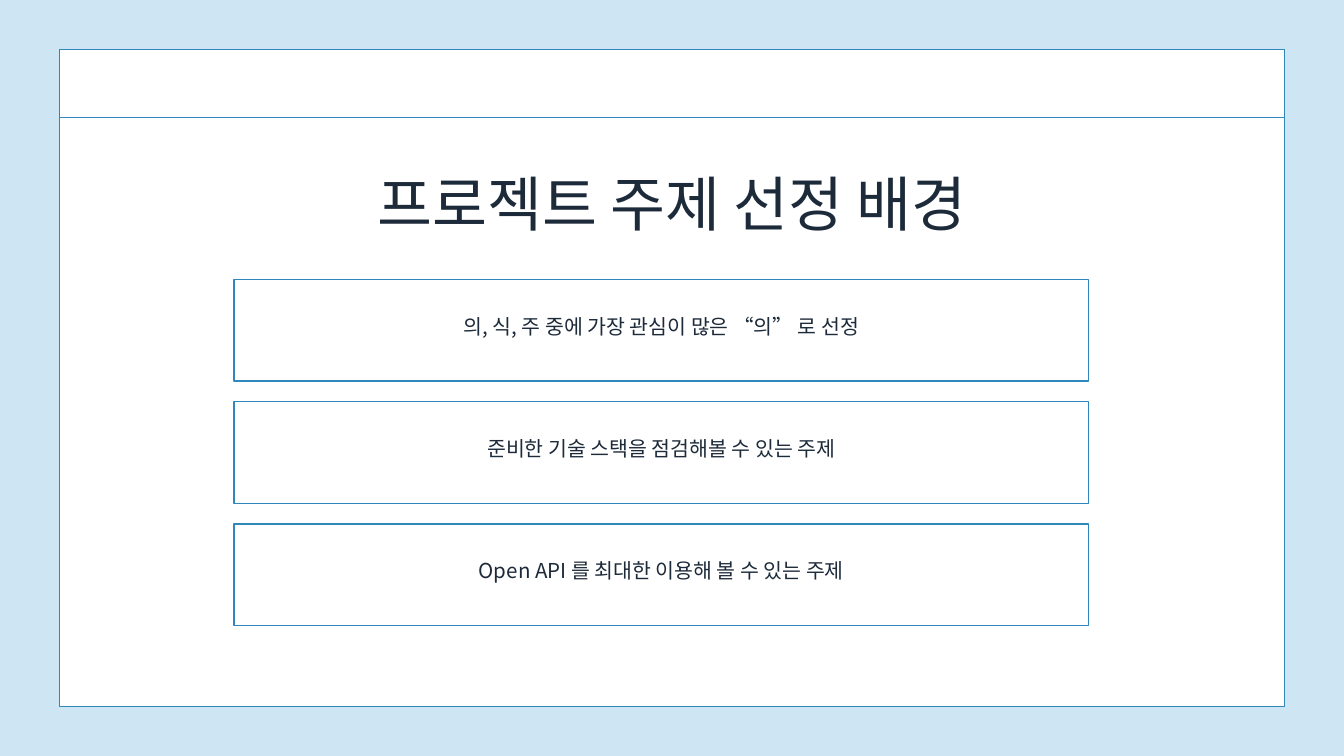
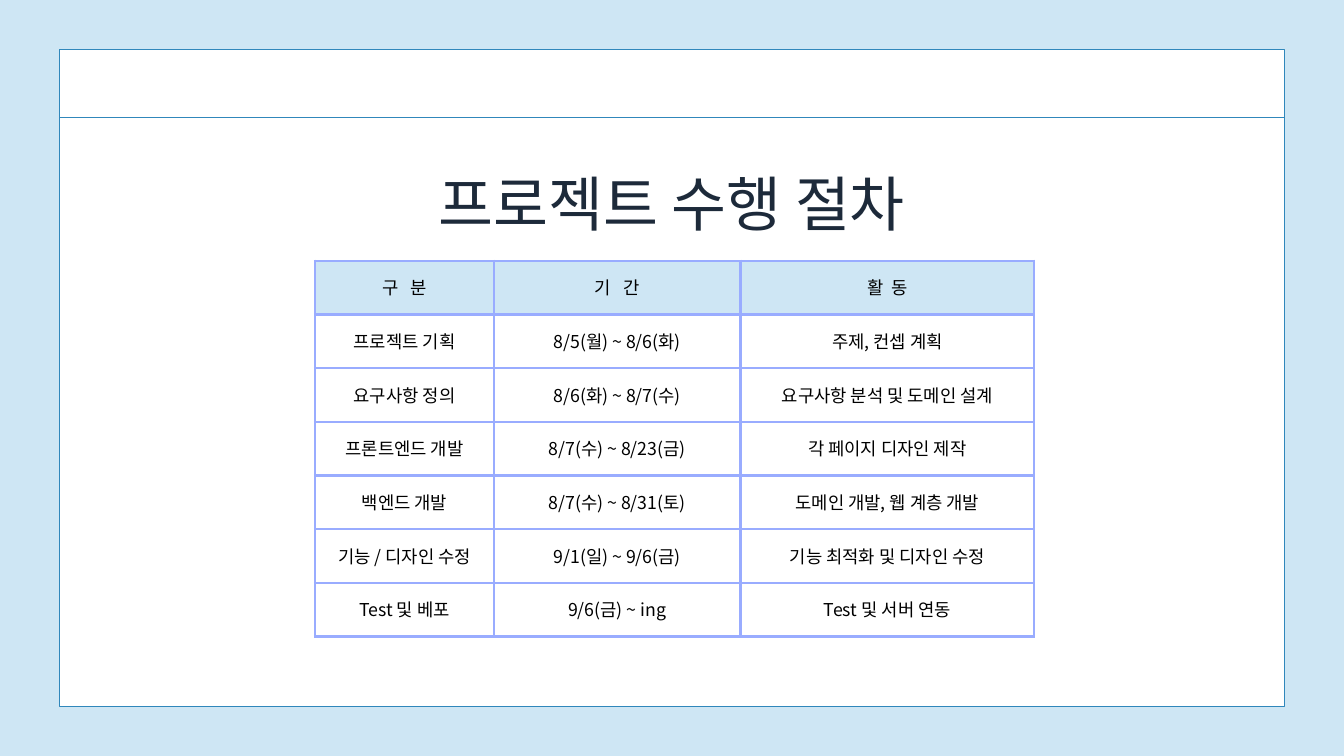
"""Build two project slides: topic background and project schedule."""
from lxml.etree import SubElement
from pptx import Presentation
from pptx.dml.color import RGBColor
from pptx.enum.shapes import MSO_CONNECTOR as Connector, MSO_SHAPE as Shape
from pptx.enum.text import MSO_ANCHOR as Anchor, PP_ALIGN as Align
from pptx.oxml.ns import qn
from pptx.util import Cm, Pt

SKY = RGBColor(0xCE, 0xE6, 0xF4)
BLUE = RGBColor(0x30, 0x87, 0xBB)
NAVY = RGBColor(0x1D, 0x2A, 0x3A)
PERIWINKLE = RGBColor(0x99, 0xAC, 0xFF)
WHITE = RGBColor(0xFF, 0xFF, 0xFF)
BLACK = RGBColor(0, 0, 0)
FONT = "Noto Sans CJK KR"

PAGE_WIDTH, PAGE_HEIGHT = 50.8, 28.58
FRAME_LEFT, FRAME_TOP, FRAME_WIDTH, FRAME_HEIGHT = 2.25, 1.88, 46.3, 24.82
BAND_BOTTOM = 4.45
BOX_LEFT, BOX_TOP, BOX_WIDTH, BOX_HEIGHT, BOX_STEP = 8.84, 10.57, 32.31, 3.84, 4.62
TABLE_LEFT, TABLE_TOP, ROW_HEIGHT = 11.91, 9.86, 2.03
COLUMN_WIDTHS = [6.76, 9.32, 11.1]

TITLES = [("프로젝트 주제 선정 배경", 24.64), ("프로젝트 수행 절차", 19.71)]
REASONS = [
    "의, 식, 주 중에 가장 관심이 많은 “의” 로 선정",
    "준비한 기술 스택을 점검해볼 수 있는 주제",
    "Open API 를 최대한 이용해 볼 수 있는 주제",
]
SCHEDULE = [
    ("구 분", "기 간", "활 동"),
    ("프로젝트 기획", "8/5(월) ~ 8/6(화)", "주제, 컨셉 계획"),
    ("요구사항 정의", "8/6(화) ~ 8/7(수)", "요구사항 분석 및 도메인 설계"),
    ("프론트엔드 개발", "8/7(수) ~ 8/23(금)", "각 페이지 디자인 제작"),
    ("백엔드 개발", "8/7(수) ~ 8/31(토)", "도메인 개발, 웹 계층 개발"),
    ("기능 / 디자인 수정", "9/1(일) ~ 9/6(금)", "기능 최적화 및 디자인 수정"),
    ("Test 및 베포", "9/6(금) ~ ing", "Test 및 서버 연동"),
]
HEADER_SPACING = ["450", "450", "200"]


def write(frame, text, size, color, spacing="0"):
    """Write one centred paragraph with a line pitch of 1.4 times its size."""
    para = frame.paragraphs[0]
    para.text = text
    para.alignment = Align.CENTER
    para.line_spacing = Pt(size * 1.4)
    para.font.size = Pt(size)
    para.font.name = FONT
    para.font.color.rgb = color
    properties = para._p.pPr.find(qn("a:defRPr"))
    properties.set("spc", spacing)
    SubElement(properties, qn("a:ea"), typeface=FONT)


def add_panel(page, left, top, width, height):
    """Add a white rectangle with a blue outline."""
    panel = page.shapes.add_shape(Shape.RECTANGLE, Cm(left), Cm(top), Cm(width), Cm(height))
    panel.shadow.inherit = False
    panel.fill.solid()
    panel.fill.fore_color.rgb = WHITE
    panel.line.color.rgb = BLUE
    panel.line.width = Pt(1.5)
    return panel


deck = Presentation()
deck.slide_width, deck.slide_height = Cm(PAGE_WIDTH), Cm(PAGE_HEIGHT)

pages = []
for title, title_width in TITLES:
    page = deck.slides.add_slide(deck.slide_layouts[6])
    pages.append(page)
    page.background.fill.solid()
    page.background.fill.fore_color.rgb = SKY
    add_panel(page, FRAME_LEFT, FRAME_TOP, FRAME_WIDTH, FRAME_HEIGHT)

    rule = page.shapes.add_connector(
        Connector.STRAIGHT, Cm(FRAME_LEFT), Cm(BAND_BOTTOM),
        Cm(FRAME_LEFT + FRAME_WIDTH), Cm(BAND_BOTTOM))
    rule.line.color.rgb = BLUE
    rule.line.width = Pt(1.5)
    SubElement(rule._element.spPr, qn("a:effectLst"))

    title_box = page.shapes.add_textbox(
        Cm((PAGE_WIDTH - title_width) / 2), Cm(5.84), Cm(title_width), Cm(3.02))
    frame = title_box.text_frame
    frame.word_wrap = True
    frame.margin_left = frame.margin_right = frame.margin_top = frame.margin_bottom = 0
    write(frame, title, 64, NAVY)

reason_page, schedule_page = pages

for index, reason in enumerate(REASONS):
    box = add_panel(reason_page, BOX_LEFT, BOX_TOP + index * BOX_STEP, BOX_WIDTH, BOX_HEIGHT)
    frame = box.text_frame
    frame.word_wrap = True
    frame.vertical_anchor = Anchor.MIDDLE
    frame.margin_left = frame.margin_right = frame.margin_top = Cm(0.15)
    frame.margin_bottom = Cm(0.65)
    write(frame, reason, 22, NAVY)

table = schedule_page.shapes.add_table(
    len(SCHEDULE), len(COLUMN_WIDTHS), Cm(TABLE_LEFT), Cm(TABLE_TOP),
    Cm(sum(COLUMN_WIDTHS)), Cm(ROW_HEIGHT * len(SCHEDULE))).table
table.first_row = table.horz_banding = False
for column, width in zip(table.columns, COLUMN_WIDTHS):
    column.width = Cm(width)

for row_index, texts in enumerate(SCHEDULE):
    table.rows[row_index].height = Cm(ROW_HEIGHT)
    for column_index, text in enumerate(texts):
        cell = table.cell(row_index, column_index)
        cell.vertical_anchor = Anchor.MIDDLE
        cell.margin_left = cell.margin_right = cell.margin_top = cell.margin_bottom = Cm(0.53)
        for side in ("a:lnL", "a:lnR", "a:lnT", "a:lnB"):
            border = SubElement(cell._tc.get_or_add_tcPr(), qn(side), w=str(Pt(3)))
            fill = SubElement(border, qn("a:solidFill"))
            SubElement(fill, qn("a:srgbClr"), val=str(PERIWINKLE))
        if row_index == 0:
            cell.fill.solid()
            cell.fill.fore_color.rgb = SKY
            write(cell.text_frame, text, 19, BLACK, HEADER_SPACING[column_index])
        else:
            cell.fill.background()
            write(cell.text_frame, text, 19, BLACK)

deck.save("out.pptx")
